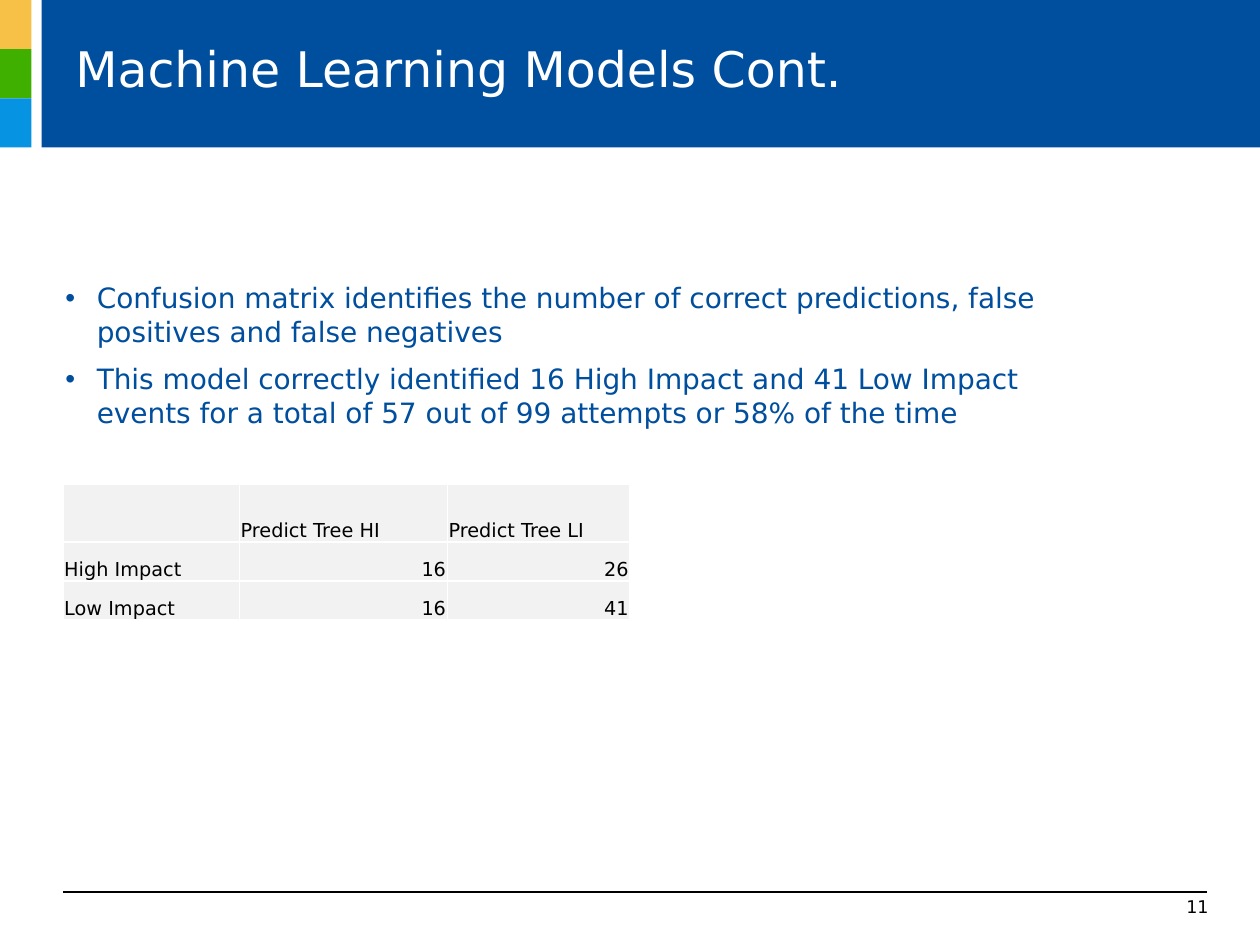
from lxml.etree import SubElement
from pptx import Presentation
from pptx.dml.color import RGBColor
from pptx.enum.shapes import MSO_CONNECTOR, MSO_SHAPE
from pptx.enum.text import MSO_ANCHOR, PP_ALIGN
from pptx.oxml.ns import qn
from pptx.util import Inches, Pt

FONT = "DejaVu Sans"
BLUE = "004E9E"


def color(hex_string):
    return RGBColor.from_string(hex_string)


def style_paragraph(paragraph, size, hex_string, alignment=PP_ALIGN.LEFT):
    paragraph.alignment = alignment
    paragraph.font.name = FONT
    paragraph.font.size = Pt(size)
    paragraph.font.color.rgb = color(hex_string)


presentation = Presentation()
presentation.slide_width = Inches(10)
presentation.slide_height = Inches(7.5)
slide = presentation.slides.add_slide(presentation.slide_layouts[6])

# Header banner and the three colour blocks beside it
blocks = [(0.33, 0, 9.67, 1.17, BLUE)]
for index, fill in enumerate(["F7C046", "3FB000", "0593E2"]):
    blocks.append((0, index * 0.39, 0.25, 0.39, fill))
for left, top, width, height, fill in blocks:
    shape = slide.shapes.add_shape(
        MSO_SHAPE.RECTANGLE, Inches(left), Inches(top), Inches(width), Inches(height))
    shape.shadow.inherit = False
    shape.fill.solid()
    shape.fill.fore_color.rgb = color(fill)
    shape.line.fill.background()

# Footer rule
rule = slide.shapes.add_connector(
    MSO_CONNECTOR.STRAIGHT, Inches(0.5), Inches(7.08), Inches(9.58), Inches(7.08))
rule.line.color.rgb = color("000000")
rule.line.width = Pt(0.75)
SubElement(rule._element.spPr, qn("a:effectLst"))

# Title and slide number
labels = [
    ("Machine Learning Models Cont.", 0.5, 0.08, 8.5, 0.92, 28, "FFFFFF",
     PP_ALIGN.LEFT, MSO_ANCHOR.MIDDLE),
    ("11", 7.61, 6.83, 2.08, 0.5, 10, "000000", PP_ALIGN.RIGHT, MSO_ANCHOR.BOTTOM),
]
for text, left, top, width, height, size, font_color, alignment, anchor in labels:
    label = slide.shapes.add_textbox(
        Inches(left), Inches(top), Inches(width), Inches(height))
    label.text_frame.word_wrap = True
    label.text_frame.vertical_anchor = anchor
    label.text_frame.text = text
    style_paragraph(label.text_frame.paragraphs[0], size, font_color, alignment)

# Bullets
bullets = [
    "Confusion matrix identifies the number of correct predictions, "
    "false positives and false negatives",
    "This model correctly identified 16 High Impact and 41 Low Impact events "
    "for a total of 57 out of 99 attempts or 58% of the time",
]
body = slide.shapes.add_textbox(Inches(0.42), Inches(2.18), Inches(8.5), Inches(1.4))
body.text_frame.word_wrap = True
body.text_frame.text = "\n".join(bullets)
for index, paragraph in enumerate(body.text_frame.paragraphs):
    style_paragraph(paragraph, 16, BLUE)
    paragraph.space_before = Pt(8 if index else 0)
    properties = paragraph._p.get_or_add_pPr()
    properties.set("marL", str(Inches(0.25)))
    properties.set("indent", str(-Inches(0.25)))
    SubElement(properties, qn("a:buFont"), typeface="Arial")
    SubElement(properties, qn("a:buChar"), char="•")
    # The schema wants the bullet before the default run properties
    properties.append(properties.find(qn("a:defRPr")))

# Confusion matrix
rows = [
    ["", "Predict Tree HI", "Predict Tree LI"],
    ["High Impact", "16", "26"],
    ["Low Impact", "16", "41"],
]
table = slide.shapes.add_table(
    3, 3, Inches(0.5), Inches(3.84), Inches(4.5), Inches(1.08)).table
for column, width in zip(table.columns, [1.4, 1.65, 1.45]):
    column.width = Inches(width)
for row, height in zip(table.rows, [0.46, 0.31, 0.31]):
    row.height = Inches(height)

for row_index, values in enumerate(rows):
    for column_index, value in enumerate(values):
        cell = table.cell(row_index, column_index)
        cell.text = value
        cell.vertical_anchor = MSO_ANCHOR.BOTTOM
        cell.margin_left = cell.margin_right = cell.margin_top = Inches(0.01)
        cell.margin_bottom = 0
        alignment = PP_ALIGN.RIGHT if value.isdigit() else PP_ALIGN.LEFT
        style_paragraph(cell.text_frame.paragraphs[0], 11, "000000", alignment)
        cell_properties = cell._tc.get_or_add_tcPr()
        for side in ("a:lnL", "a:lnR", "a:lnT", "a:lnB"):
            border = SubElement(cell_properties, qn(side), w=str(Pt(1)))
            border_fill = SubElement(border, qn("a:solidFill"))
            SubElement(border_fill, qn("a:srgbClr"), val="FFFFFF")
        cell.fill.solid()
        cell.fill.fore_color.rgb = color("F2F2F2")

presentation.save("out.pptx")
